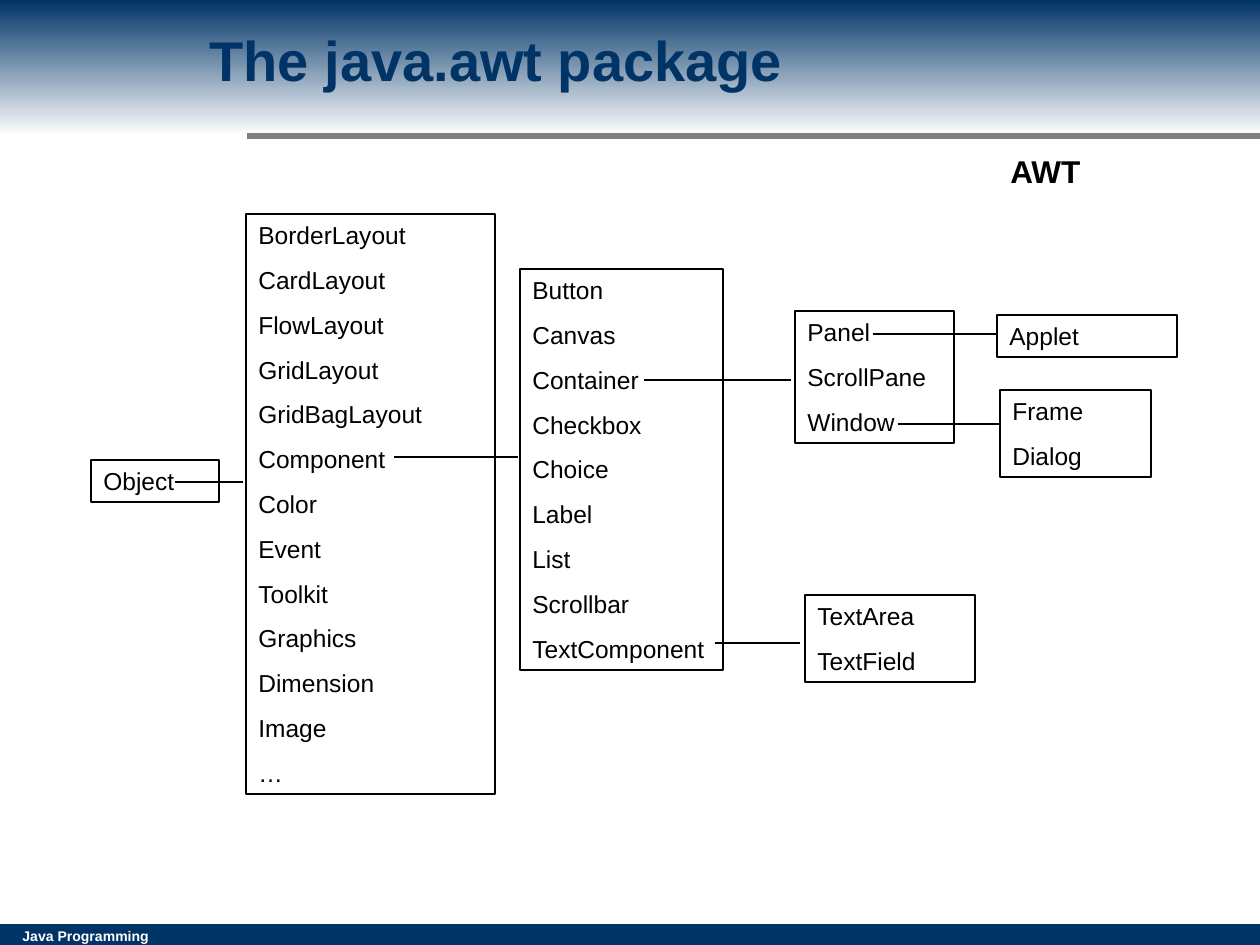
import pptx
import pptx.dml.color
import pptx.enum.shapes
import pptx.enum.text
import pptx.oxml
import pptx.util

PX_PER_INCH = 126
FONT = "Arial"
NAVY, WHITE, GREY, BLACK = "003366", "FFFFFF", "808080", "000000"

TITLE = "The java.awt package"
# left, top, width, height in px, then the class names in the box
CLASS_BOXES = [
    (91, 460, 128, 42, ["Object"]),
    (246, 214, 249, 580, [
        "BorderLayout", "CardLayout", "FlowLayout", "GridLayout",
        "GridBagLayout", "Component", "Color", "Event", "Toolkit",
        "Graphics", "Dimension", "Image", "…"]),
    (520, 269, 203, 401, [
        "Button", "Canvas", "Container", "Checkbox", "Choice", "Label",
        "List", "Scrollbar", "TextComponent"]),
    (795, 311, 159, 132, ["Panel", "ScrollPane", "Window"]),
    (805, 595, 170, 87, ["TextArea", "TextField"]),
    (997, 315, 180, 42, ["Applet"]),
    (1000, 390, 151, 87, ["Frame", "Dialog"]),
]
# start x, end x, y in px: from a class to the box of its subclasses
BRANCHES = [
    (394, 518, 457),
    (175, 243, 482),
    (644, 791, 380),
    (715, 800, 643),
    (898, 999, 424),
    (873, 997, 334),
]


def px(length):
    return pptx.util.Emu(round(length * 914400 / PX_PER_INCH))


def color(value):
    return pptx.dml.color.RGBColor.from_string(value)


def style_text(frame, size, ink, bold=False, space=0):
    """Format every paragraph; space is put before all but the first."""
    for index, para in enumerate(frame.paragraphs):
        para.alignment = pptx.enum.text.PP_ALIGN.LEFT
        para.space_before = pptx.util.Pt(space if index else 0)
        for span in para.runs:
            span.font.name = FONT
            span.font.size = pptx.util.Pt(size)
            span.font.bold = bold
            span.font.color.rgb = color(ink)


def add_rectangle(page, *place):
    box = page.shapes.add_shape(
        pptx.enum.shapes.MSO_SHAPE.RECTANGLE, *map(px, place))
    box.shadow.inherit = False
    return box


def add_line(page, start, end, y, ink, width):
    line = page.shapes.add_connector(
        pptx.enum.shapes.MSO_CONNECTOR.STRAIGHT,
        px(start), px(y), px(end), px(y))
    line.line.color.rgb = color(ink)
    line.line.width = pptx.util.Pt(width)
    line._element.spPr.append(pptx.oxml.parse_xml(
        '<a:effectLst xmlns:a='
        '"http://schemas.openxmlformats.org/drawingml/2006/main"/>'))


def add_label(page, place, text, size, ink, wrap):
    label = page.shapes.add_textbox(*map(px, place))
    label.text_frame.word_wrap = wrap
    label.text_frame.text = text
    style_text(label.text_frame, size, ink, bold=True)


def add_frame(page):
    footer = add_rectangle(page, 0, 924, 1260, 21)
    footer.fill.solid()
    footer.fill.fore_color.rgb = color(NAVY)
    footer.line.fill.background()
    add_label(page, (10, 921, 159, 30), "Java Programming", 8, WHITE, True)

    header = add_rectangle(page, 0, 0, 1260, 136)
    header.fill.gradient()
    header.fill.gradient_angle = 270
    for stop, ink in zip(header.fill.gradient_stops, (NAVY, WHITE)):
        stop.color.rgb = color(ink)
    header.line.fill.background()
    add_line(page, 247, 1260, 136, GREY, 3)
    add_label(page, (998, 146, 97, 50), "AWT", 18, BLACK, False)


def add_title(page):
    title = page.shapes.title
    title.left, title.top, title.width, title.height = map(
        px, (197, -4, 945, 126))
    title.text_frame.text = TITLE
    title.text_frame.vertical_anchor = pptx.enum.text.MSO_ANCHOR.MIDDLE
    style_text(title.text_frame, 32, NAVY, bold=True)
    page.shapes._spTree.append(title._element)  # in front of the header band


def add_class_box(page, left, top, width, height, names):
    box = add_rectangle(page, left, top, width, height)
    box.fill.background()
    box.line.color.rgb = color(BLACK)
    box.line.width = pptx.util.Pt(0.75)
    frame = box.text_frame
    frame.word_wrap = True
    frame.vertical_anchor = pptx.enum.text.MSO_ANCHOR.TOP
    frame.text = "\n".join(names)
    style_text(frame, 14, BLACK, space=8.8)


def main():
    deck = pptx.Presentation()
    deck.slide_width, deck.slide_height = px(1260), px(945)
    page = deck.slides.add_slide(deck.slide_layouts.get_by_name("Title Only"))
    page.background.fill.solid()
    page.background.fill.fore_color.rgb = color(WHITE)
    add_frame(page)
    add_title(page)
    for class_box in CLASS_BOXES:
        add_class_box(page, *class_box)
    for branch in BRANCHES:
        add_line(page, *branch, BLACK, 0.75)
    deck.save("out.pptx")


if __name__ == "__main__":
    main()
